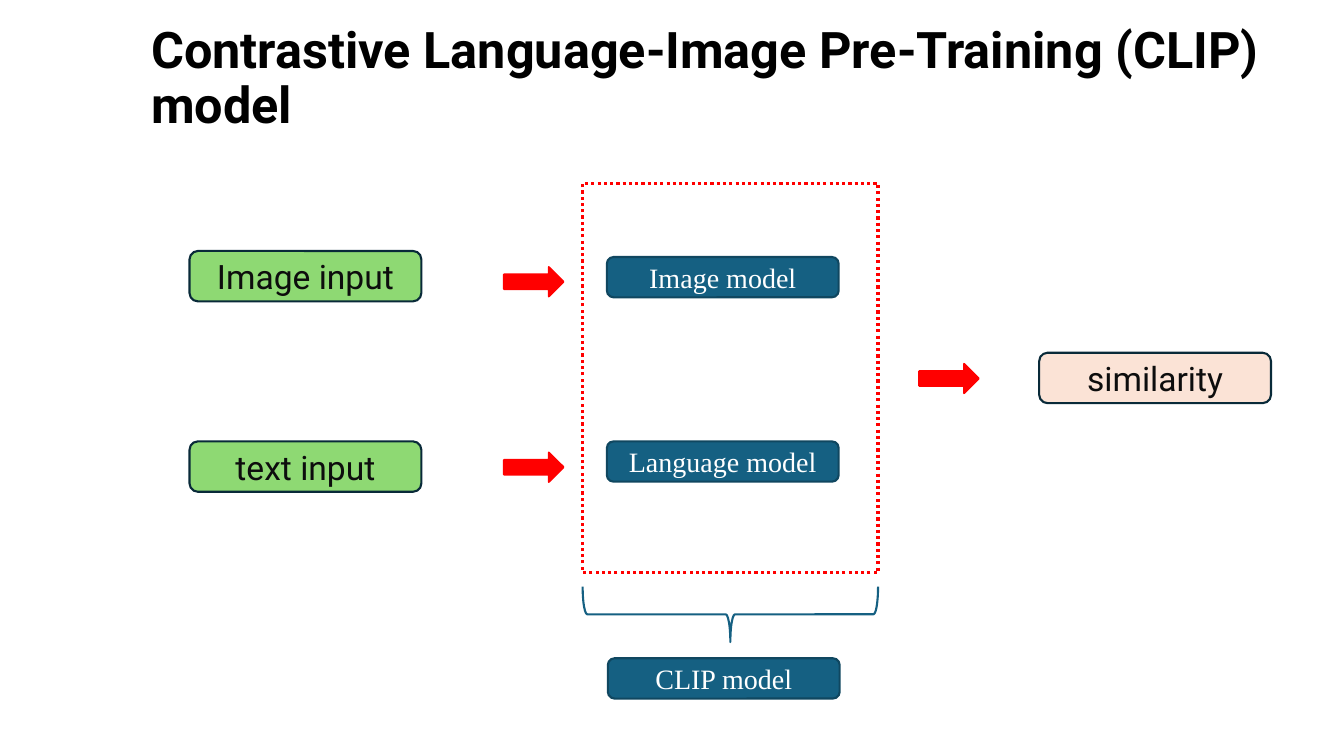
from pptx import Presentation
from pptx.dml.color import RGBColor
from pptx.enum.dml import MSO_LINE
from pptx.enum.shapes import MSO_SHAPE
from pptx.enum.text import MSO_ANCHOR, PP_ALIGN
from pptx.util import Pt

RECT, ROUND = MSO_SHAPE.RECTANGLE, MSO_SHAPE.ROUNDED_RECTANGLE
ARROW, BRACE = MSO_SHAPE.RIGHT_ARROW, MSO_SHAPE.LEFT_BRACE
DOTTED = MSO_LINE.ROUND_DOT
MIDDLE, CENTER = MSO_ANCHOR.MIDDLE, PP_ALIGN.CENTER

RED, BLUE, GREEN, PEACH = "FF0000", "156082", "8ED973", "FBE3D6"
LABEL_W = 165.6
DATA_H, MODEL_H = 36, 28.8
ARROW_W, ARROW_H = 42.5, 20.9


def color(hex_string):
    return RGBColor.from_string(hex_string)


def style(p, font, size, ink, bold=False):
    f = p.runs[0].font
    f.name, f.size, f.bold = font, Pt(size), bold
    f.color.rgb = color(ink)


def add_shape(s, kind, box, fill, line, width=1.5):
    sp = s.shapes.add_shape(kind, *map(Pt, box))
    sp.shadow.inherit = False
    if fill:
        sp.fill.solid()
        sp.fill.fore_color.rgb = color(fill)
    else:
        sp.fill.background()
    sp.line.color.rgb = color(line)
    sp.line.width = Pt(width)
    return sp


def add_label(s, box, text, fill, line, font, size, ink):
    sp = add_shape(s, ROUND, box, fill, line)
    tf = sp.text_frame
    tf.vertical_anchor = MIDDLE
    p = tf.paragraphs[0]
    p.text, p.alignment = text, CENTER
    style(p, font, size, ink)


def add_data(s, left, top, text, fill):
    add_label(s, (left, top, LABEL_W, DATA_H), text, fill, "092A39",
              "Roboto", 24, "0D0D0D")


def add_model(s, left, top, text):
    add_label(s, (left, top, LABEL_W, MODEL_H), text, BLUE, "104760",
              "Times New Roman", 20, "FFFFFF")


def add_arrow(s, left, top):
    add_shape(s, ARROW, (left, top, ARROW_W, ARROW_H), RED, RED)


def add_title(s, box, text):
    tf = s.shapes.add_textbox(*map(Pt, box)).text_frame
    tf.word_wrap = True
    tf.vertical_anchor = MIDDLE
    p = tf.paragraphs[0]
    p.text, p.line_spacing = text, 0.9
    style(p, "Roboto", 36, "000000", bold=True)


def add_inputs(s, left, top):
    # Each input: label, its offset, offset of its arrow
    for text, dy, arrow_dy in (("Image input", 0, 11.5), ("text input", 136, 144)):
        add_data(s, left, top + dy, text, GREEN)
        add_arrow(s, left + 224.6, top + arrow_dy)


def add_clip(s, left, top, width, height):
    # Encoders inside the dotted frame
    for text, dy in (("Image model", 52.6), ("Language model", 184.3)):
        add_model(s, left + 17.3, top + dy, text)
    frame = add_shape(s, RECT, (left, top, width, height), None, RED, 2.25)
    frame.line.dash_style = DOTTED

    # Brace below the frame, turned so that it points down
    depth = 39.6
    brace_top = top + height + 10
    brace = add_shape(s, BRACE, (left + (width - depth) / 2,
                                 brace_top + (depth - width) / 2,
                                 depth, width), None, BLUE)
    brace.rotation = 270
    add_model(s, left + 18, brace_top + depth + 11.6, "CLIP model")


def add_output(s, left, top):
    add_arrow(s, left, top + 7.9)
    add_data(s, left + 85.7, top, "similarity", PEACH)


def main():
    prs = Presentation()
    prs.slide_width, prs.slide_height = Pt(960), Pt(540)
    s = prs.slides.add_slide(prs.slide_layouts[6])
    add_title(s, (100.8, 24.5, 870.5, 64.8),
              "Contrastive Language-Image Pre-Training (CLIP) model")
    add_inputs(s, 135.4, 179.3)
    add_clip(s, 416.2, 131, 211, 278)
    add_output(s, 656.6, 252)
    prs.save("out.pptx")


if __name__ == "__main__":
    main()
